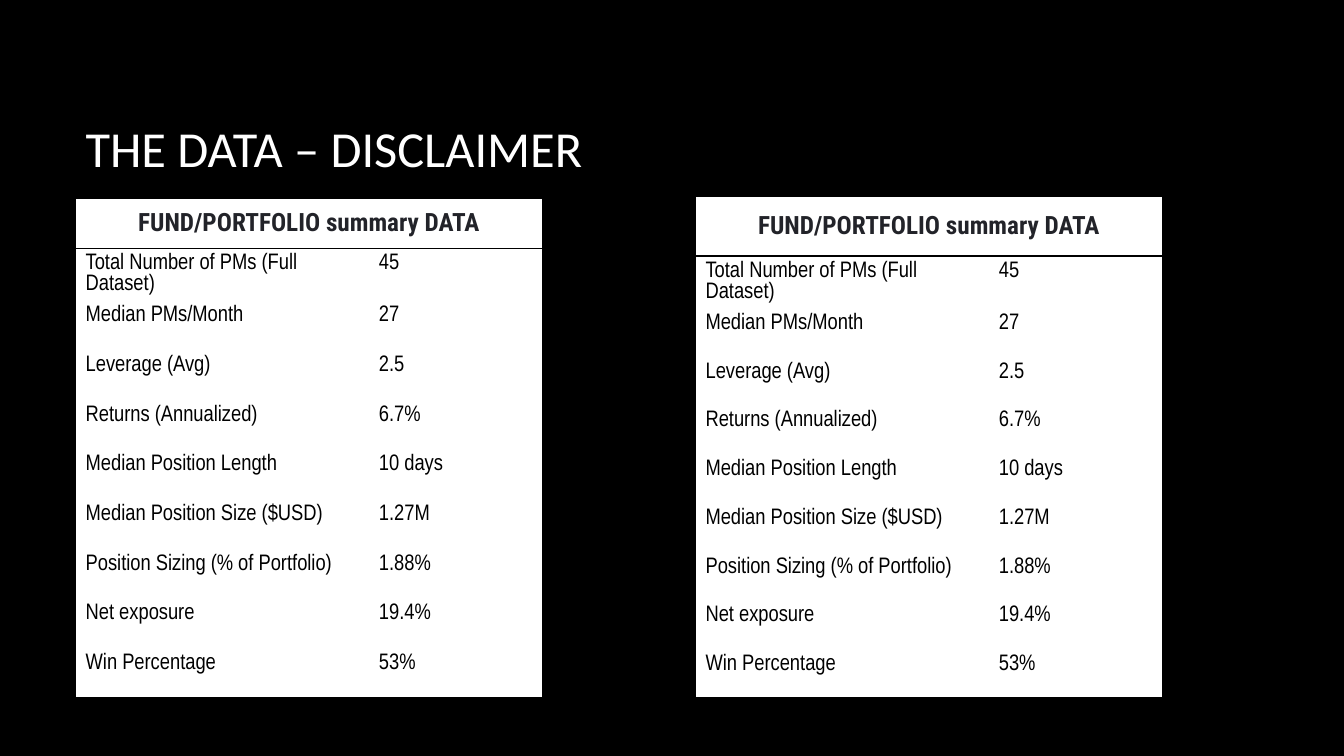
import dataclasses

import lxml.etree
import pptx
import pptx.dml.color
import pptx.enum.text
import pptx.oxml.ns
import pptx.util

Pt = pptx.util.Pt
HEADER = "FUND/PORTFOLIO summary DATA"
METRICS = [
    ("Total Number of PMs (Full Dataset)", "45"),
    ("Median PMs/Month", "27"),
    ("Leverage (Avg)", "2.5"),
    ("Returns (Annualized)", "6.7%"),
    ("Median Position Length", "10 days"),
    ("Median Position Size ($USD)", "1.27M"),
    ("Position Sizing (% of Portfolio)", "1.88%"),
    ("Net exposure", "19.4%"),
    ("Win Percentage", "53%"),
]
COLUMN_WIDTHS = (209.5, 123.9)


@dataclasses.dataclass
class SummaryTable:
    left: float
    top: float
    header_height: float
    row_height: float


@dataclasses.dataclass
class TextStyle:
    font: str
    size: float
    color: str
    bold: bool = False


TITLE_STYLE = TextStyle("Calibri", 36, "FFFFFF")
HEADER_STYLE = TextStyle("Roboto Condensed", 18, "222329", True)
BODY_STYLE = TextStyle("Arial Narrow", 16, "000000")
TABLES = [
    SummaryTable(54, 141.8, 35.5, 35.5),
    SummaryTable(496.8, 140.4, 42.5, 34.8),
]


def rgb(color: str) -> pptx.dml.color.RGBColor:
    return pptx.dml.color.RGBColor.from_string(color)


def write(tf, text: str, style: TextStyle):
    tf.text = text
    p = tf.paragraphs[0]
    f = p.runs[0].font
    f.name, f.size, f.bold = style.font, Pt(style.size), style.bold
    f.color.rgb = rgb(style.color)
    return p


def set_borders(cell, sides: str) -> None:
    qn = pptx.oxml.ns.qn
    tc_pr = cell._tc.get_or_add_tcPr()
    for i, side in enumerate("LRTB"):
        ln = lxml.etree.Element(qn(f"a:ln{side}"), w=str(Pt(1)))
        if side in sides:
            fill = lxml.etree.SubElement(ln, qn("a:solidFill"))
            lxml.etree.SubElement(fill, qn("a:srgbClr"), val="000000")
        else:
            lxml.etree.SubElement(ln, qn("a:noFill"))
        tc_pr.insert(i, ln)


def add_summary(s, spec: SummaryTable) -> None:
    last = len(METRICS)
    height = spec.header_height + last * spec.row_height
    frame = s.shapes.add_table(last + 1, 2, Pt(spec.left), Pt(spec.top),
                               Pt(sum(COLUMN_WIDTHS)), Pt(height))
    table = frame.table
    table.horz_banding = False
    for column, width in zip(table.columns, COLUMN_WIDTHS):
        column.width = Pt(width)
    for i, row in enumerate(table.rows):
        row.height = Pt(spec.row_height if i else spec.header_height)
        for j, cell in enumerate(row.cells):
            cell.fill.solid()
            cell.fill.fore_color.rgb = rgb("FFFFFF")
            sides = "LR"[j]
            if i <= 1:
                sides += "T"
            if i in (0, last):
                sides += "B"
            set_borders(cell, sides)
            if i:
                write(cell.text_frame, METRICS[i - 1][j], BODY_STYLE)
    header = table.cell(0, 0)
    header.merge(table.cell(0, 1))
    header.vertical_anchor = pptx.enum.text.MSO_ANCHOR.MIDDLE
    p = write(header.text_frame, HEADER, HEADER_STYLE)
    p.alignment = pptx.enum.text.PP_ALIGN.CENTER


def add_title(s, text: str) -> None:
    tf = s.shapes.add_textbox(Pt(54), Pt(48.2), Pt(797.8), Pt(114.5)).text_frame
    tf.word_wrap = True
    tf.vertical_anchor = pptx.enum.text.MSO_ANCHOR.MIDDLE
    write(tf, text, TITLE_STYLE)


def main() -> None:
    prs = pptx.Presentation()
    prs.slide_width, prs.slide_height = Pt(960), Pt(540)
    s = prs.slides.add_slide(prs.slide_layouts[6])
    s.background.fill.solid()
    s.background.fill.fore_color.rgb = rgb("000000")
    for spec in TABLES:
        add_summary(s, spec)
    add_title(s, "THE DATA – DISCLAIMER")
    prs.save("out.pptx")


if __name__ == "__main__":
    main()
